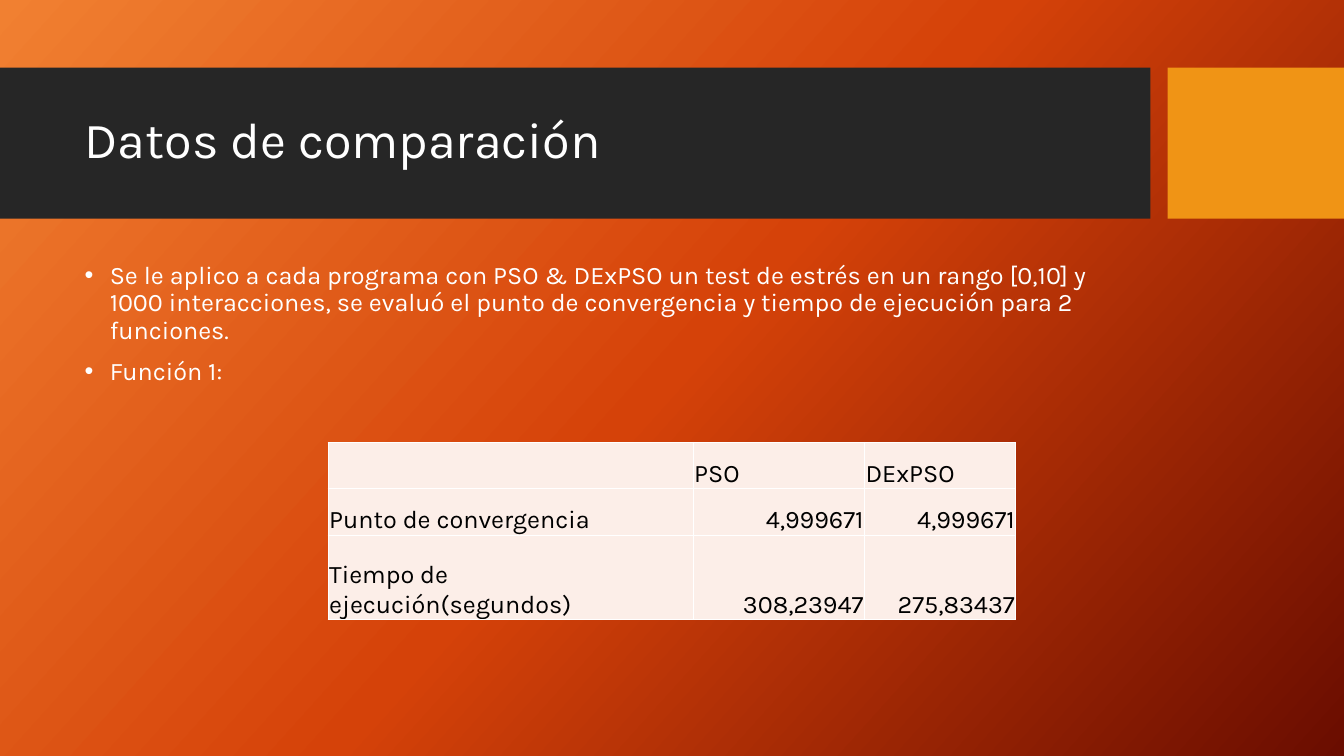
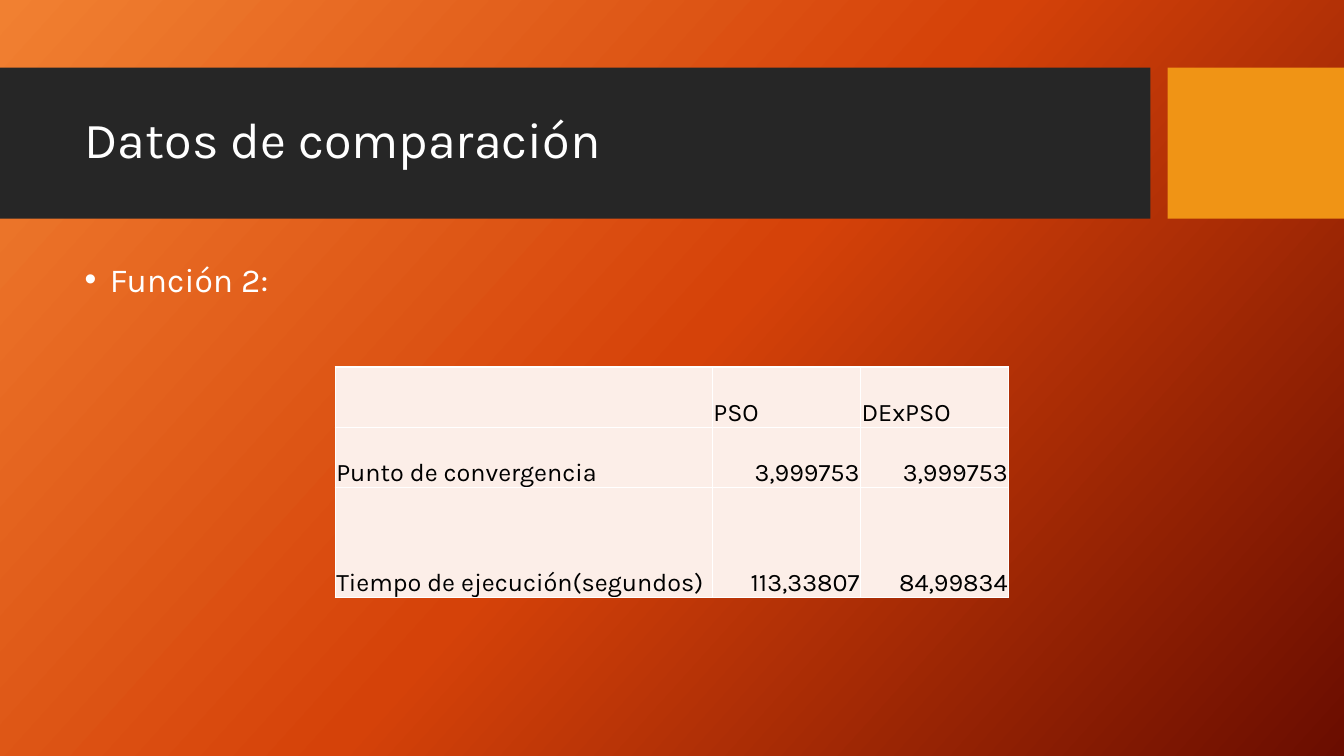
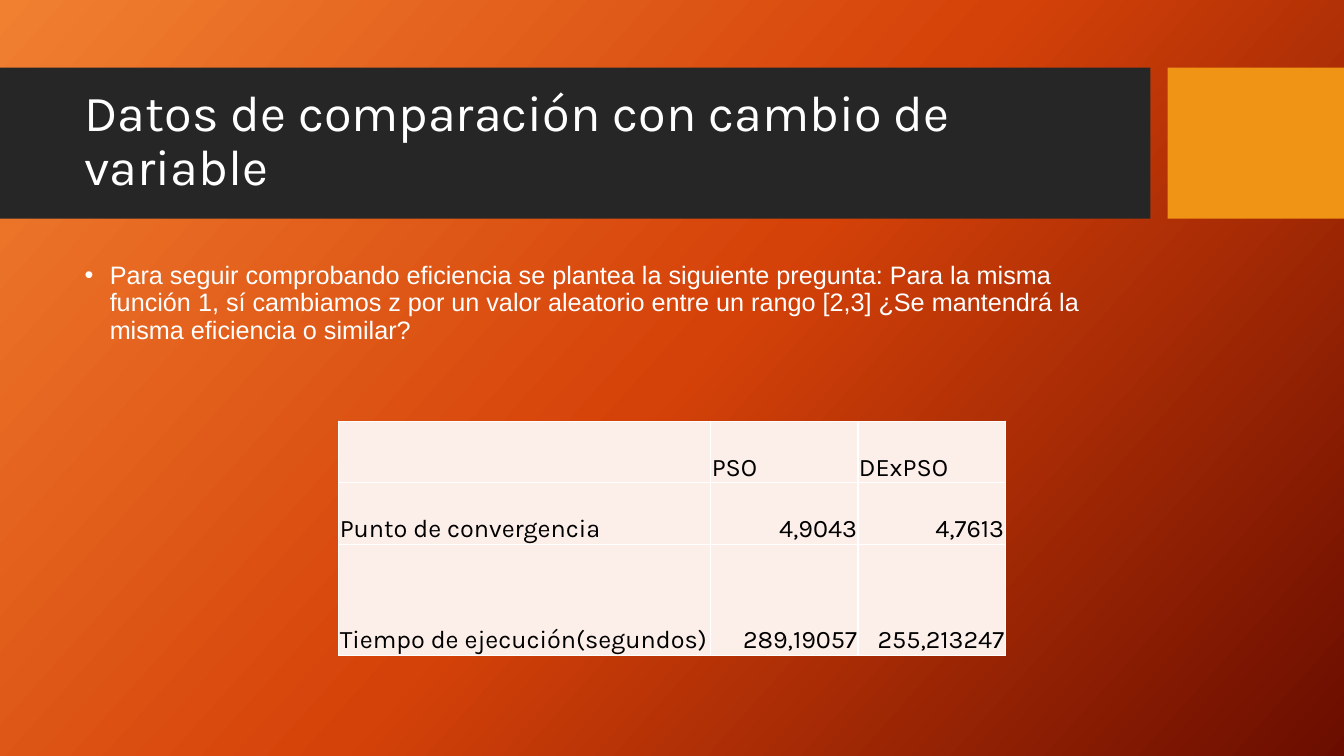
from copy import deepcopy

from lxml.etree import SubElement
from pptx import Presentation
from pptx.dml.color import RGBColor
from pptx.enum.shapes import MSO_SHAPE as Shape
from pptx.enum.text import MSO_ANCHOR as Anchor, PP_ALIGN as Align
from pptx.oxml.ns import qn
from pptx.util import Inches, Pt

COLORS = {
    "glow": "F18031", "flame": "D54209", "ember": "6A0D00",
    "band": "262626", "accent": "F09415",
    "light": "FFFFFF", "dark": "000000", "cell": "FCEEE8",
}
BACKDROP = [(0, "glow"), (0.5, "flame"), (1, "ember")]
BANDS = [(0, 11.41, "band"), (11.58, 1.75, "accent")]
BAND_TOP, BAND_HEIGHT = 0.67, 1.5
SLIDE_WIDTH, SLIDE_HEIGHT = 13.33, 7.5
TITLE_BOX = (0.74, 0.82, 10.51, 1.18)
BODY_BOX = (0.74, 2.56, 10.51, 3.94)
FONT = "Karla"

METHODS = ["PSO", "DExPSO"]
MEASURES = ["Punto de convergencia", "Tiempo de ejecución(segundos)"]

SLIDES = [
    {
        "title": "Datos de comparación",
        "bullets": [
            "Se le aplico a cada programa con PSO & DExPSO un test de estrés en un rango "
            "[0,10] y 1000 interacciones, se evaluó el punto de convergencia y tiempo de "
            "ejecución para 2 funciones.",
            "Función 1:",
        ],
        "bullet_font": (FONT, 18),
        "results": [("4,999671", "4,999671"), ("308,23947", "275,83437")],
        "top": 4.39, "columns": (3.62, 1.7, 1.5), "rows": (0.46, 0.46, 0.84),
    },
    {
        "title": "Datos de comparación",
        "bullets": ["Función 2:"],
        "bullet_font": (FONT, 24),
        "results": [("3,999753", "3,999753"), ("113,33807", "84,99834")],
        "top": 3.64, "columns": (3.74, 1.47, 1.47), "rows": (0.6, 0.6, 1.09),
    },
    {
        "title": "Datos de comparación con cambio de variable",
        "bullets": [
            "Para seguir comprobando eficiencia se plantea la siguiente pregunta: Para la "
            "misma función 1, sí cambiamos z por un valor aleatorio entre un rango [2,3] "
            "¿Se mantendrá la misma eficiencia o similar?",
        ],
        "bullet_font": ("Arial", 18),
        "results": [("4,9043", "4,7613"), ("289,19057", "255,213247")],
        "top": 4.18, "columns": (3.69, 1.46, 1.46), "rows": (0.61, 0.61, 1.1),
    },
]


def rgb(name):
    return RGBColor.from_string(COLORS[name])


def style_runs(paragraph, font, size, color):
    for run in paragraph.runs:
        run.font.name = font
        run.font.size = Pt(size)
        run.font.color.rgb = rgb(color)


def paint_backdrop(slide):
    fill = slide.background.fill
    fill.gradient()
    fill.gradient_angle = 360 - 42
    stops = slide.element.find(".//" + qn("a:gsLst"))
    stops.append(deepcopy(stops[-1]))
    for stop, (position, color) in zip(fill.gradient_stops, BACKDROP):
        stop.position = position
        stop.color.rgb = rgb(color)


def add_bands(slide):
    for left, width, color in BANDS:
        band = slide.shapes.add_shape(
            Shape.RECTANGLE, Inches(left), Inches(BAND_TOP), Inches(width), Inches(BAND_HEIGHT))
        band.shadow.inherit = False
        band.fill.solid()
        band.fill.fore_color.rgb = rgb(color)
        band.line.fill.background()


def add_text(slide, box, lines, font, size):
    frame = slide.shapes.add_textbox(*map(Inches, box)).text_frame
    frame.word_wrap = True
    frame.text = "\n".join(lines)
    for paragraph in frame.paragraphs:
        paragraph.line_spacing = 0.9
        style_runs(paragraph, font, size, "light")
    return frame


def add_bullets(slide, lines, font, size):
    for paragraph in add_text(slide, BODY_BOX, lines, font, size).paragraphs:
        paragraph.space_before = Pt(10)
        properties = paragraph._p.get_or_add_pPr()
        properties.set("marL", str(Inches(0.25)))
        properties.set("indent", str(-Inches(0.25)))
        SubElement(properties, qn("a:buFont"), typeface="Arial")
        SubElement(properties, qn("a:buChar"), char="•")


def add_borders(cell):
    properties = cell._tc.get_or_add_tcPr()
    for side in ("lnL", "lnR", "lnT", "lnB"):
        border = SubElement(properties, qn("a:" + side), w=str(Pt(1)))
        solid = SubElement(border, qn("a:solidFill"))
        SubElement(solid, qn("a:srgbClr"), val=COLORS["light"])


def fill_cell(cell, text, align):
    cell.text = text
    cell.vertical_anchor = Anchor.BOTTOM
    cell.margin_left = cell.margin_right = cell.margin_top = Inches(0.01)
    cell.margin_bottom = 0
    add_borders(cell)
    cell.fill.solid()
    cell.fill.fore_color.rgb = rgb("cell")
    paragraph = cell.text_frame.paragraphs[0]
    paragraph.alignment = align
    style_runs(paragraph, FONT, 18, "dark")


def add_results(slide, results, top, columns, rows):
    width = sum(columns)
    table = slide.shapes.add_table(
        len(rows), len(columns), Inches((SLIDE_WIDTH - width) / 2), Inches(top),
        Inches(width), Inches(sum(rows))).table
    table.first_row = table.horz_banding = False
    for column, size in zip(table.columns, columns):
        column.width = Inches(size)
    for row, size in zip(table.rows, rows):
        row.height = Inches(size)
    grid = [("", *METHODS)] + [(measure, *values) for measure, values in zip(MEASURES, results)]
    for r, texts in enumerate(grid):
        for c, text in enumerate(texts):
            fill_cell(table.cell(r, c), text, Align.RIGHT if r and c else Align.LEFT)


deck = Presentation()
deck.slide_width = Inches(SLIDE_WIDTH)
deck.slide_height = Inches(SLIDE_HEIGHT)
for content in SLIDES:
    slide = deck.slides.add_slide(deck.slide_layouts[6])
    paint_backdrop(slide)
    add_bands(slide)
    title = add_text(slide, TITLE_BOX, [content["title"]], FONT, 36)
    title.vertical_anchor = Anchor.MIDDLE
    add_bullets(slide, content["bullets"], *content["bullet_font"])
    add_results(slide, content["results"], content["top"], content["columns"], content["rows"])
deck.save("out.pptx")
